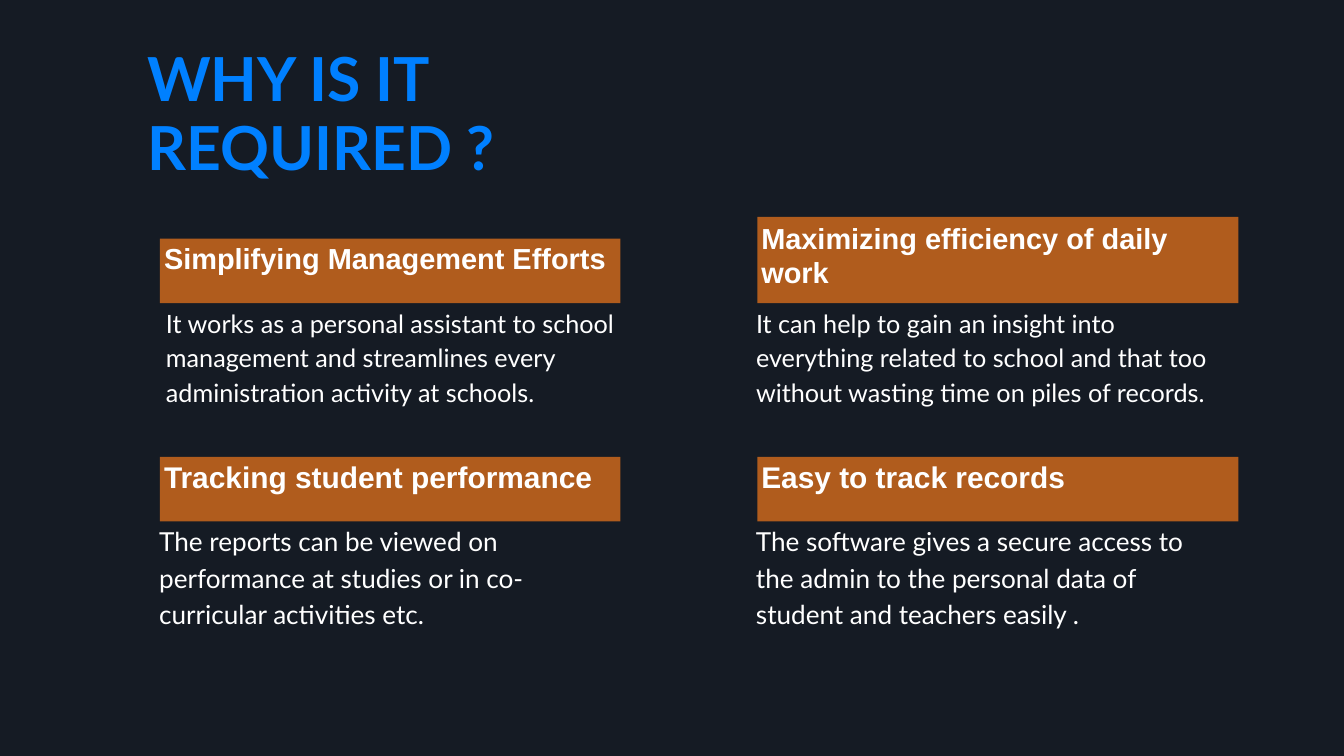
"""Build the slide on why school management software is required."""
from pptx import Presentation
from pptx.dml.color import RGBColor
from pptx.enum import shapes, text
from pptx.util import Pt


def color(value):
    return RGBColor.from_string(value)


def write(shape, wording, font, size, ink, bold=False, left=0, top=0, spacing=None):
    frame = shape.text_frame
    frame.word_wrap = True
    frame.vertical_anchor = text.MSO_ANCHOR.TOP
    frame.margin_left, frame.margin_top = Pt(left), Pt(top)
    frame.margin_right = frame.margin_bottom = 0
    frame.text = wording
    paragraph = frame.paragraphs[0]
    paragraph.alignment = text.PP_ALIGN.LEFT
    paragraph.line_spacing = spacing
    run_font = paragraph.runs[0].font
    run_font.name, run_font.size, run_font.bold = font, Pt(size), bold
    run_font.color.rgb = color(ink)


deck = Presentation()
deck.slide_width, deck.slide_height = Pt(1440), Pt(810)
slide = deck.slides.add_slide(deck.slide_layouts[6])
slide.background.fill.solid()
slide.background.fill.fore_color.rgb = color("151B24")

question = slide.shapes.add_textbox(Pt(72), Pt(41.8), Pt(694.8), Pt(154))
write(question, "WHY IS IT REQUIRED ?", "Lato", 65, "0080FF", True, 85.7, 6.5, Pt(73.9))

columns = [(171.4, 493.2), (811.4, 515.5)]
rows = [
    {"banner_bottom": 324.7, "body_top": 324.7, "body_height": 113,
     "heading_size": 31, "body_size": 27, "spacing": 1.14},
    {"banner_bottom": 558.7, "body_top": 557.3, "body_height": 118.8,
     "heading_size": 32, "body_size": 28, "spacing": 1.16},
]
reasons = [
    (0, 0, "Simplifying Management Efforts", 69.1, 2.2, None,
     "It works as a personal assistant to school management and streamlines every "
     "administration activity at schools.", 177.1, 483.1),
    (0, 1, "Maximizing efficiency of daily work", 92.2, 3.6, Pt(37),
     "It can help to gain an insight into everything related to school and that too "
     "without wasting time on piles of records.", 809.3, 486),
    (1, 0, "Tracking student performance", 69.1, 1.4, None,
     "The reports can be viewed on performance at studies or in co- "
     "curricular activities etc.", 169.9, 393.8),
    (1, 1, "Easy to track records", 69.1, 1.4, None,
     "The software gives a secure access to the admin to the personal data of "
     "student and teachers easily .", 809.3, 463),
]

for row, column, heading, height, inset, leading, benefit, body_left, body_width in reasons:
    style = rows[row]
    left, width = columns[column]
    banner = slide.shapes.add_shape(
        shapes.MSO_SHAPE.RECTANGLE,
        Pt(left), Pt(style["banner_bottom"] - height), Pt(width), Pt(height))
    banner.shadow.inherit = False
    banner.fill.solid()
    banner.fill.fore_color.rgb = color("B05C1D")
    banner.line.fill.background()
    write(banner, heading, "Arial", style["heading_size"], "FFFFFF", True, 4.3, inset, leading)

    body = slide.shapes.add_textbox(
        Pt(body_left), Pt(style["body_top"]), Pt(body_width), Pt(style["body_height"]))
    write(body, benefit, "Lato", style["body_size"], "FFFFFF",
          left=0.7, top=0.7, spacing=style["spacing"])

deck.save("out.pptx")
